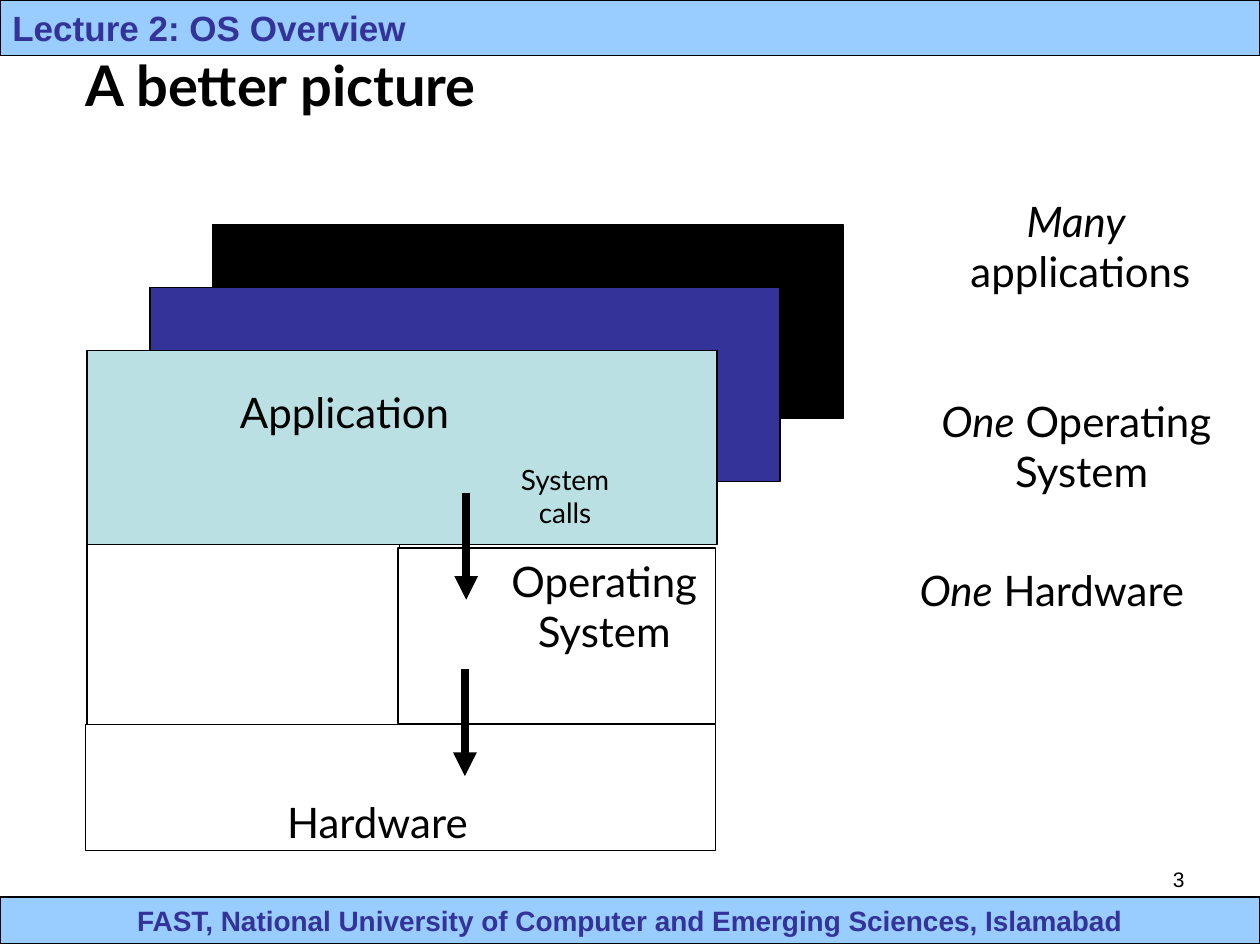
from pptx import Presentation
from pptx.dml.color import RGBColor
from pptx.enum.shapes import MSO_CONNECTOR as Connector, MSO_SHAPE as Shape
from pptx.enum.text import MSO_ANCHOR as Anchor, PP_ALIGN as Align
from pptx.oxml.ns import qn
from pptx.util import Inches, Pt
from lxml.etree import SubElement

COLORS = {"bar": "99CCFF", "indigo": "333399", "teal": "BBE0E3",
          "black": "000000", "white": "FFFFFF"}


class SlideBuilder:
    body_font = "Lato"
    bar_font = "Arial"

    def __init__(self, slide):
        self.slide = slide

    def color(self, name):
        return RGBColor.from_string(COLORS[name])

    def format_font(self, run, size, font, color="black", bold=False, italic=False):
        run.font.size = Pt(size)
        run.font.name = font
        run.font.bold = bold
        run.font.italic = italic
        run.font.color.rgb = self.color(color)

    def title(self, text, left, top, width, height):
        heading = self.slide.shapes.title
        heading.left, heading.top = Inches(left), Inches(top)
        heading.width, heading.height = Inches(width), Inches(height)
        frame = heading.text_frame
        frame.text = text
        frame.vertical_anchor = Anchor.MIDDLE
        frame.paragraphs[0].alignment = Align.LEFT
        self.format_font(frame.paragraphs[0].runs[0], 32, self.body_font, bold=True)

    def box(self, left, top, width, height, fill="white"):
        rect = self.slide.shapes.add_shape(
            Shape.RECTANGLE, Inches(left), Inches(top), Inches(width), Inches(height))
        rect.shadow.inherit = False
        rect.fill.solid()
        rect.fill.fore_color.rgb = self.color(fill)
        rect.line.color.rgb = self.color("black")
        rect.line.width = Pt(0.75)
        return rect

    def bar(self, text, top, height, size, align):
        frame = self.box(0, top, 10, height, "bar").text_frame
        frame.text = text
        frame.vertical_anchor = Anchor.MIDDLE
        frame.paragraphs[0].alignment = align
        self.format_font(frame.paragraphs[0].runs[0], size, self.bar_font, "indigo", bold=True)

    def label(self, lines, left, top, width, height, size=24, align=Align.CENTER,
              font=body_font, italic_word=None):
        frame = self.slide.shapes.add_textbox(
            Inches(left), Inches(top), Inches(width), Inches(height)).text_frame
        frame.word_wrap = True
        frame.text = "\n".join(lines)
        for paragraph in frame.paragraphs:
            paragraph.alignment = align
            self.format_font(paragraph.runs[0], size, font)
        if italic_word:
            first = frame.paragraphs[0]
            emphasis = first.runs[0]
            rest = emphasis.text[len(italic_word):]
            emphasis.text = italic_word
            emphasis.font.italic = True
            if rest:
                plain = first.add_run()
                plain.text = rest
                self.format_font(plain, size, font)

    def arrow(self, x, top, bottom):
        arrow = self.slide.shapes.add_connector(
            Connector.STRAIGHT, Inches(x), Inches(top), Inches(x), Inches(bottom))
        arrow.line.color.rgb = self.color("black")
        arrow.line.width = Pt(4.5)
        SubElement(arrow.line._get_or_add_ln(), qn("a:tailEnd"), type="triangle")
        SubElement(arrow._element.spPr, qn("a:effectLst"))


def main():
    deck = Presentation()
    deck.slide_width, deck.slide_height = Inches(10), Inches(7.5)
    page = SlideBuilder(deck.slides.add_slide(deck.slide_layouts[5]))

    page.bar("FAST, National University of Computer and Emerging Sciences, Islamabad",
             7.12, 0.37, 16, Align.CENTER)
    page.bar("Lecture 2: OS Overview", 0, 0.44, 20, Align.LEFT)
    page.label(["3"], 7.17, 6.83, 2.33, 0.52, 12, Align.RIGHT, page.bar_font)
    page.title("A better picture", 0.58, 0.2, 8.58, 0.93)

    page.box(0.68, 5.75, 5, 1)
    page.box(0.69, 4.32, 2.48, 1.43)
    page.box(3.16, 4.35, 2.52, 1.39)
    for step, fill in enumerate(("black", "indigo", "teal")):
        page.box(1.69 - 0.5 * step, 1.78 + 0.5 * step, 5, 1.54, fill)

    page.label(["Hardware"], 2.12, 6.27, 1.75, 0.5)
    page.arrow(3.69, 5.31, 6.16)
    page.arrow(3.7, 3.91, 4.76)
    page.label(["Operating", "System"], 3.9, 4.36, 1.79, 0.9)
    page.label(["System", "calls"], 4.01, 3.62, 0.95, 0.64, 16)
    page.label(["Application"], 1.76, 3.02, 1.95, 0.5)

    page.label(["One Hardware"], 7.2, 4.43, 2.44, 0.5, align=Align.LEFT, italic_word="One")
    page.label(["One Operating ", "System"], 7.3, 3.09, 2.57, 0.9, italic_word="One")
    page.label(["Many ", "applications"], 7.53, 1.5, 2.09, 0.9, italic_word="Many ")

    deck.save("out.pptx")


if __name__ == "__main__":
    main()
